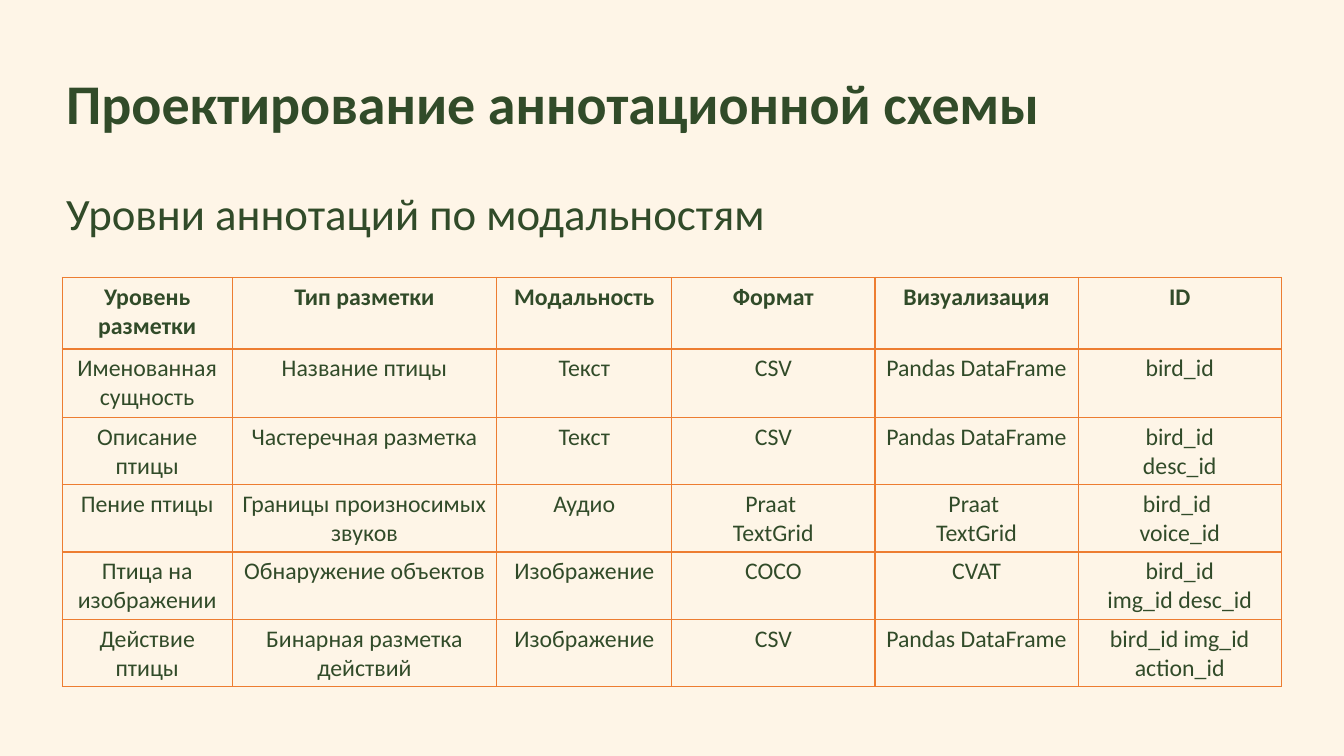
from lxml.etree import SubElement, Element
from pptx import Presentation
from pptx.dml.color import RGBColor
from pptx.enum.text import MSO_AUTO_SIZE as AutoSize, PP_ALIGN as Align
from pptx.oxml.ns import qn
from pptx.util import Cm, Pt

CREAM = RGBColor(0xFE, 0xF5, 0xE7)
GREEN = RGBColor(0x31, 0x4B, 0x29)
ORANGE = RGBColor(0xED, 0x7D, 0x31)

COLUMN_WIDTHS = [4.28, 6.67, 4.41, 5.12, 5.12, 5.12]
ROW_HEIGHTS = [1.8, 1.73, 1.69, 1.69, 1.69, 1.69]
LEVELS = [
    ["Уровень разметки", "Тип разметки", "Модальность", "Формат", "Визуализация", "ID"],
    ["Именованная сущность", "Название птицы", "Текст", "CSV", "Pandas DataFrame", "bird_id"],
    ["Описание птицы", "Частеречная разметка", "Текст", "CSV", "Pandas DataFrame",
     "bird_id\ndesc_id"],
    ["Пение птицы", "Границы произносимых звуков", "Аудио", "Praat \nTextGrid",
     "Praat \nTextGrid", "bird_id \nvoice_id"],
    ["Птица на изображении", "Обнаружение объектов", "Изображение", "COCO", "CVAT",
     "bird_id\nimg_id desc_id"],
    ["Действие птицы", "Бинарная разметка действий", "Изображение", "CSV",
     "Pandas DataFrame", "bird_id img_id action_id"],
]


class SlideBuilder:
    """Adds headings and bordered tables in one style to the current slide."""

    def __init__(self, page, font="Calibri", color=GREEN):
        self.page = page
        self.font = font
        self.color = color
        fill = page.background.fill
        fill.solid()
        fill.fore_color.rgb = CREAM

    def add_span(self, para, text, size, bold=False):
        span = para.add_run()
        span.text = text
        span.font.name = self.font
        span.font.size = Pt(size)
        span.font.bold = bold
        span.font.color.rgb = self.color

    def heading(self, text, left, top, width, height, size, bold=False):
        box = self.page.shapes.add_textbox(Cm(left), Cm(top), Cm(width), Cm(height))
        frame = box.text_frame
        frame.word_wrap = True
        frame.auto_size = AutoSize.SHAPE_TO_FIT_TEXT
        self.add_span(frame.paragraphs[0], text, size, bold)

    def border(self, cell, widths):
        properties = cell._tc.get_or_add_tcPr()
        for index, (side, width) in enumerate(widths.items()):
            line = Element(qn(f"a:ln{side}"), w=str(Pt(width)))
            fill = SubElement(line, qn("a:solidFill"))
            SubElement(fill, qn("a:srgbClr"), val=str(ORANGE))
            properties.insert(index, line)

    def table(self, rows, left, top, widths, heights, size):
        frame = self.page.shapes.add_table(
            len(rows), len(widths), Cm(left), Cm(top), Cm(sum(widths)), Cm(sum(heights)))
        table = frame.table
        table.first_row = table.horz_banding = False
        for column, width in zip(table.columns, widths):
            column.width = Cm(width)
        for index, (row, height) in enumerate(zip(table.rows, heights)):
            row.height = Cm(height)
            sides = {"L": 1, "R": 1, "T": 2 if index == 1 else 1, "B": 2 if index == 0 else 1}
            for cell, text in zip(row.cells, rows[index]):
                cell.fill.background()
                self.border(cell, sides)
                for number, line in enumerate(text.split("\n")):
                    text_frame = cell.text_frame
                    para = text_frame.add_paragraph() if number else text_frame.paragraphs[0]
                    para.alignment = Align.CENTER
                    self.add_span(para, line, size, bold=index == 0)


def main():
    deck = Presentation()
    deck.slide_width, deck.slide_height = Cm(33.87), Cm(19.05)
    builder = SlideBuilder(deck.slides.add_slide(deck.slide_layouts[6]))
    builder.heading("Проектирование аннотационной схемы", 1.42, 1.6, 28.45, 1.96, 40, bold=True)
    builder.heading("Уровни аннотаций по модальностям", 1.42, 4.55, 21.82, 1.63, 32)
    builder.table(LEVELS, 1.57, 6.99, COLUMN_WIDTHS, ROW_HEIGHTS, 17)
    deck.save("out.pptx")


if __name__ == "__main__":
    main()
